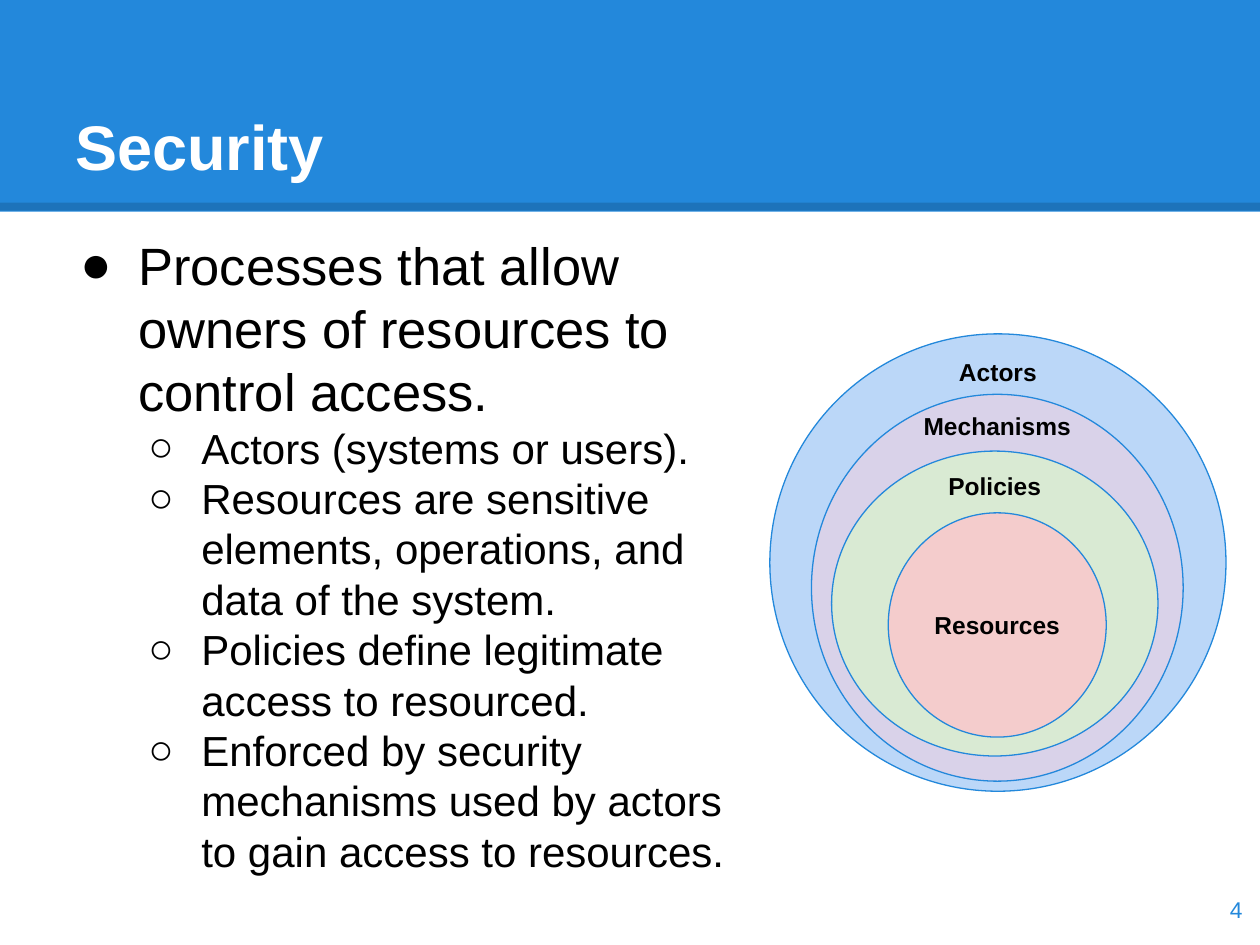
from typing import NamedTuple

from lxml import etree
from pptx import Presentation
from pptx import util as u
from pptx.dml.color import RGBColor
from pptx.enum import shapes, text
from pptx.oxml.ns import qn

COLORS = {
    "blue": "2388DB",
    "white": "FFFFFF",
    "black": "000000",
    "actors": "BBD7F8",
    "mechanisms": "D9D2E9",
    "policies": "D9EAD3",
    "resources": "F4CCCC",
}
FONT = "Arial"
CELL = 0.1
COLUMNS, ROWS = 100, 75


class Box(NamedTuple):
    col: float
    row: float
    cols: float
    rows: float


class Ring(NamedTuple):
    label: str
    fill: str
    box: Box
    label_row: float


class Bullet(NamedTuple):
    words: str
    level: int


class BulletStyle(NamedTuple):
    mark: str
    size: int
    margin: float
    hang: float


RINGS = [
    Ring("Actors", "actors", Box(61.1, 26.5, 36.2, 36.3), 29.52),
    Ring("Mechanisms", "mechanisms", Box(64.4, 31.3, 29.5, 30.7), 33.82),
    Ring("Policies", "policies", Box(66, 35.8, 25.9, 24.2), 38.52),
    Ring("Resources", "resources", Box(70.5, 40.7, 17.3, 17.8), 49.62),
]
BULLETS = [
    Bullet("Processes that allow owners of resources to control access.", 0),
    Bullet("Actors (systems or users).", 1),
    Bullet("Resources are sensitive elements, operations, and data of the system.", 1),
    Bullet("Policies define legitimate access to resourced.", 1),
    Bullet("Enforced by security mechanisms used by actors to gain access to resources.", 1),
]
STYLES = [BulletStyle("●", 30, 0.5, 0.46), BulletStyle("○", 24, 1, 0.42)]


def grid(n: float) -> int:
    return u.Inches(n * CELL)


def color(name: str) -> RGBColor:
    return RGBColor.from_string(COLORS[name])


def add_run(p, words: str, size: int, ink: str, bold: bool = False) -> None:
    r = p.add_run()
    r.text = words
    r.font.name = FONT
    r.font.size = u.Pt(size)
    r.font.bold = bold
    r.font.color.rgb = color(ink)


def add_text(s, box: Box, anchor):
    tf = s.shapes.add_textbox(*map(grid, box)).text_frame
    tf.word_wrap = True
    tf.vertical_anchor = anchor
    tf.margin_left = tf.margin_right = tf.margin_top = tf.margin_bottom = grid(1)
    return tf


def add_shape(s, kind, box: Box, fill: str):
    sp = s.shapes.add_shape(kind, *map(grid, box))
    sp.shadow.inherit = False
    sp.fill.solid()
    sp.fill.fore_color.rgb = color(fill)
    sp.line.fill.background()
    return sp


def add_banner(s) -> None:
    add_shape(s, shapes.MSO_SHAPE.RECTANGLE, Box(0, 0, COLUMNS, 16.8), "blue")
    edge = s.shapes.add_connector(
        shapes.MSO_CONNECTOR.STRAIGHT, 0, grid(16.4), grid(COLUMNS), grid(16.4)
    )
    edge.line.width = u.Pt(4.5)
    edge.line.color.rgb = color("black")
    ink = edge.line._ln.find(".//" + qn("a:srgbClr"))
    etree.SubElement(ink, qn("a:alpha"), val="15000")
    etree.SubElement(edge._element.spPr, qn("a:effectLst"))
    tf = add_text(s, Box(5, 3, 90, 12.5), text.MSO_ANCHOR.BOTTOM)
    add_run(tf.paragraphs[0], "Security", 36, "white", True)


def add_bullets(s, box: Box, bullets: list[Bullet]) -> None:
    tf = add_text(s, box, text.MSO_ANCHOR.TOP)
    for i, bullet in enumerate(bullets):
        p = tf.add_paragraph() if i else tf.paragraphs[0]
        style = STYLES[bullet.level]
        p.level = bullet.level
        pPr = p._p.get_or_add_pPr()
        pPr.set("marL", str(u.Inches(style.margin)))
        pPr.set("indent", str(-u.Inches(style.hang)))
        ink = etree.SubElement(pPr, qn("a:buClr"))
        etree.SubElement(ink, qn("a:srgbClr"), val=COLORS["black"])
        etree.SubElement(pPr, qn("a:buFont"), typeface=FONT)
        etree.SubElement(pPr, qn("a:buChar"), char=style.mark)
        add_run(p, bullet.words, style.size, "black")


def add_ring(s, ring: Ring) -> None:
    sp = add_shape(s, shapes.MSO_SHAPE.OVAL, ring.box, ring.fill)
    sp.line.color.rgb = color("blue")
    sp.line.width = u.Pt(0.75)
    label = Box(ring.box.col, ring.label_row - 2, ring.box.cols, 4)
    p = add_text(s, label, text.MSO_ANCHOR.MIDDLE).paragraphs[0]
    p.alignment = text.PP_ALIGN.CENTER
    add_run(p, ring.label, 14, "black", True)


def main() -> None:
    prs = Presentation()
    prs.slide_width, prs.slide_height = grid(COLUMNS), grid(ROWS)
    s = prs.slides.add_slide(prs.slide_layouts[6])
    add_banner(s)
    add_bullets(s, Box(5, 17.5, 55, 54.3), BULLETS)
    p = add_text(s, Box(93.6, 69.3, 6, 5.7), text.MSO_ANCHOR.MIDDLE).paragraphs[0]
    p.alignment = text.PP_ALIGN.RIGHT
    add_run(p, "4", 13, "blue")
    for ring in RINGS:
        add_ring(s, ring)
    prs.save("out.pptx")


if __name__ == "__main__":
    main()
